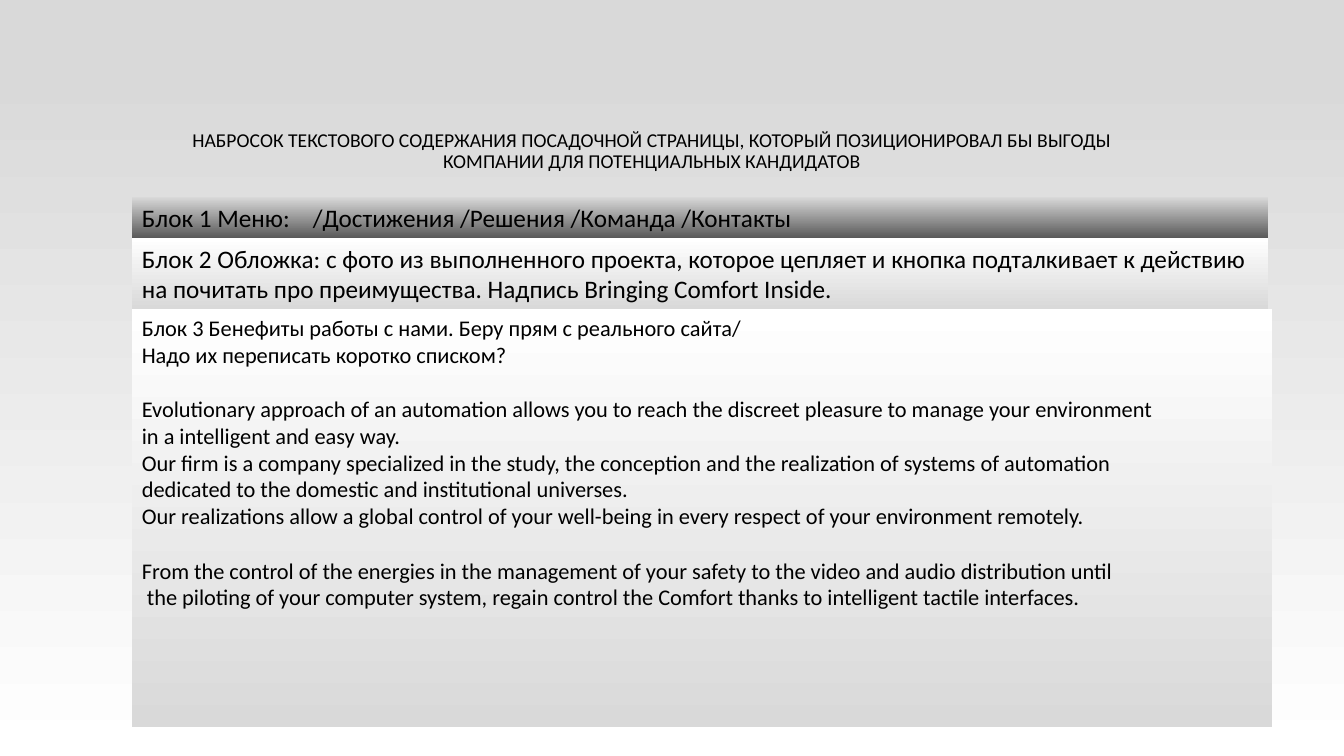
import dataclasses

import pptx
import pptx.dml.color
import pptx.enum.shapes
import pptx.enum.text
import pptx.oxml.ns
import pptx.util
from lxml import etree

TITLE = ("НАБРОСОК ТЕКСТОВОГО СОДЕРЖАНИЯ ПОСАДОЧНОЙ СТРАНИЦЫ, КОТОРЫЙ "
         "ПОЗИЦИОНИРОВАЛ БЫ ВЫГОДЫ КОМПАНИИ ДЛЯ ПОТЕНЦИАЛЬНЫХ КАНДИДАТОВ")
MENU = ["Блок 1 Меню:\t/Достижения /Решения /Команда /Контакты"]
COVER = ["Блок 2 Обложка: с фото из выполненного проекта, которое цепляет и кнопка "
         "подталкивает к действию на почитать про преимущества. "
         "Надпись Bringing Comfort Inside."]
BENEFIT_GROUPS = [
    ["Блок 3 Бенефиты работы с нами. Беру прям с реального сайта/",
     "Надо их переписать коротко списком?"],
    ["Evolutionary approach of an automation allows you to reach the discreet "
     "pleasure to manage your environment",
     "in a intelligent and easy way.",
     "Our firm is a company specialized in the study, the conception and the "
     "realization of systems of automation",
     "dedicated to the domestic and institutional universes.",
     "Our realizations allow a global control of your well-being in every "
     "respect of your environment remotely."],
    ["From the control of the energies in the management of your safety to the "
     "video and audio distribution until",
     "the piloting of your computer system, regain control the Comfort thanks "
     "to intelligent tactile interfaces."],
]


@dataclasses.dataclass(frozen=True)
class Theme:
    font: str = "Calibri"
    text: str = "000000"
    white: str = "FFFFFF"
    light: str = "D9D9D9"
    dark: str = "595959"
    title_size: float = 14
    block_size: float = 18
    body_size: float = 16
    group_gap: float = 19.5


THEME = Theme()
SLIDE_SIZE = (1344, 756)
TITLE_BOX = (173, 138, 958, 40)
BLOCK_LEFT, BLOCK_TOP = 132, 197
MENU_TAB = 171
LAST_LINE_INDENT = 5

# Groups of lines, width, height, text size, top colour, bottom colour
BLOCKS = [
    ([MENU], 1136, 41, THEME.block_size, THEME.light, THEME.dark),
    ([COVER], 1136, 71, THEME.block_size, THEME.white, THEME.light),
    (BENEFIT_GROUPS, 1140, 418, THEME.body_size, THEME.white, THEME.light),
]


def px(length):
    return pptx.util.Emu(round(length * 914400 / 100.8))


def rgb(value):
    return pptx.dml.color.RGBColor.from_string(value)


def fill_downward(fill, top_colour, bottom_colour, start=0):
    fill.gradient()
    fill.gradient_angle = 270
    first, last = fill.gradient_stops
    first.color.rgb, first.position = rgb(top_colour), start
    last.color.rgb, last.position = rgb(bottom_colour), 1


def format_paragraph(paragraph, size, alignment):
    paragraph.alignment = alignment
    paragraph.font.name = THEME.font
    paragraph.font.size = pptx.util.Pt(size)
    paragraph.font.color.rgb = rgb(THEME.text)


def add_tab_stop(paragraph, position):
    tab_list = etree.SubElement(paragraph._p.get_or_add_pPr(),
                                pptx.oxml.ns.qn("a:tabLst"))
    etree.SubElement(tab_list, pptx.oxml.ns.qn("a:tab"),
                     pos=str(px(position)), algn="l")


def add_title(slide):
    title = slide.shapes.title
    title.left, title.top, title.width, title.height = map(px, TITLE_BOX)
    frame = title.text_frame
    frame.text = TITLE
    frame.word_wrap = True
    frame.auto_size = pptx.enum.text.MSO_AUTO_SIZE.NONE
    frame.vertical_anchor = pptx.enum.text.MSO_ANCHOR.BOTTOM
    paragraph = frame.paragraphs[0]
    format_paragraph(paragraph, THEME.title_size, pptx.enum.text.PP_ALIGN.CENTER)
    paragraph.line_spacing = 0.9


def add_block(slide, top, groups, width, height, size, top_colour, bottom_colour):
    block = slide.shapes.add_shape(
        pptx.enum.shapes.MSO_SHAPE.RECTANGLE,
        px(BLOCK_LEFT), px(top), px(width), px(height))
    block.shadow.inherit = False
    block.line.fill.background()
    fill_downward(block.fill, top_colour, bottom_colour)
    frame = block.text_frame
    frame.word_wrap = True
    frame.vertical_anchor = pptx.enum.text.MSO_ANCHOR.TOP
    frame.text = "\n".join(line for group in groups for line in group)
    paragraphs = iter(frame.paragraphs)
    for group_index, group in enumerate(groups):
        for line_index, line in enumerate(group):
            paragraph = next(paragraphs)
            if "\t" in line:
                add_tab_stop(paragraph, MENU_TAB)
            format_paragraph(paragraph, size, pptx.enum.text.PP_ALIGN.LEFT)
            if group_index and line_index == 0:
                paragraph.space_before = pptx.util.Pt(THEME.group_gap)
    return frame


def main():
    presentation = pptx.Presentation()
    presentation.slide_width, presentation.slide_height = map(px, SLIDE_SIZE)
    slide = presentation.slides.add_slide(presentation.slide_layouts[5])
    fill_downward(slide.background.fill, THEME.light, THEME.white, start=0.09)
    add_title(slide)
    top = BLOCK_TOP
    for block in BLOCKS:
        frame = add_block(slide, top, *block)
        top += block[2]
    last_line = frame.paragraphs[-1]._p.get_or_add_pPr()
    last_line.set("marL", str(px(LAST_LINE_INDENT)))
    presentation.save("out.pptx")


if __name__ == "__main__":
    main()
